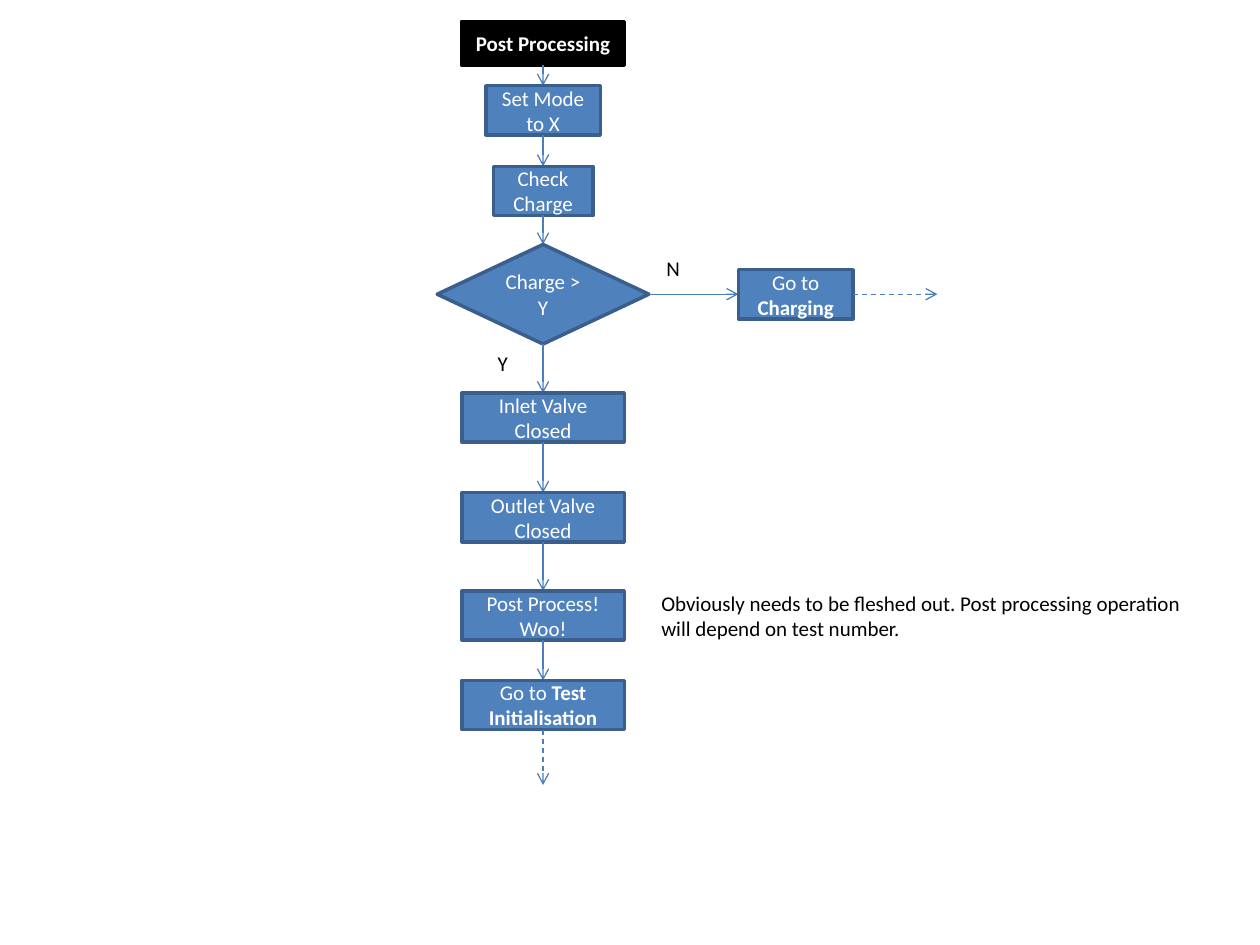
from pptx import Presentation
from pptx.dml.color import RGBColor
from pptx.enum.dml import MSO_LINE
from pptx.enum.shapes import MSO_CONNECTOR, MSO_SHAPE
from pptx.enum.text import MSO_ANCHOR, MSO_AUTO_SIZE, PP_ALIGN
from pptx.oxml.ns import qn
from pptx.util import Inches, Pt
from lxml.etree import SubElement

BLACK = RGBColor(0x00, 0x00, 0x00)
WHITE = RGBColor(0xFF, 0xFF, 0xFF)
BLUE = RGBColor(0x4F, 0x81, 0xBD)
BORDER = RGBColor(0x3A, 0x5F, 0x8C)
ARROW = RGBColor(0x4B, 0x7E, 0xBC)

BOX_H = 0.39
STEPS = [
    ("Post Processing", 0.17, 1.29, 0.35),
    ("Set Mode to X", 0.68, 0.91, BOX_H),
    ("Check Charge", 1.32, 0.79, BOX_H),
    ("Charge > Y", 1.94, 1.68, 0.79),
    ("Inlet Valve Closed", 3.12, 1.29, BOX_H),
    ("Outlet Valve Closed", 3.91, 1.29, BOX_H),
    ("Post Process! Woo!", 4.69, 1.29, BOX_H),
    ("Go to |Test Initialisation", 5.4, 1.29, BOX_H),
]


def add_runs(p, text, color, bold=False):
    """Write text into a paragraph; the part after a bar is bold."""
    for i, part in enumerate(text.split("|")):
        r = p.add_run()
        r.text = part
        fmt = {"name": "Calibri", "size": Pt(12), "bold": bold or i > 0}
        for key, value in fmt.items():
            setattr(r.font, key, value)
        r.font.color.rgb = color


def add_box(s, text, box, kind=MSO_SHAPE.RECTANGLE, fill=BLUE, line=BORDER, bold=False):
    """Add a filled flowchart shape with centred white text."""
    sp = s.shapes.add_shape(kind, *map(Inches, box))
    sp.shadow.inherit = False
    sp.fill.solid()
    sp.fill.fore_color.rgb = fill
    sp.line.color.rgb = line
    sp.line.width = Pt(2)
    tf = sp.text_frame
    for key, value in {"word_wrap": True, "vertical_anchor": MSO_ANCHOR.MIDDLE}.items():
        setattr(tf, key, value)
    p = tf.paragraphs[0]
    p.alignment = PP_ALIGN.CENTER
    add_runs(p, text, WHITE, bold)


def add_arrow(s, start, end, dashed=False):
    """Add a thin arrow between two points."""
    cn = s.shapes.add_connector(MSO_CONNECTOR.STRAIGHT, *map(Inches, start + end))
    cn.line.color.rgb = ARROW
    cn.line.width = Pt(0.75)
    if dashed:
        cn.line.dash_style = MSO_LINE.DASH
    SubElement(cn.line._get_or_add_ln(), qn("a:tailEnd"), type="arrow")
    SubElement(cn._element.spPr, qn("a:effectLst"))


def add_label(s, lines, box):
    """Add unwrapped black text, one paragraph for each line."""
    tf = s.shapes.add_textbox(*map(Inches, box)).text_frame
    fmt = {"word_wrap": False, "auto_size": MSO_AUTO_SIZE.SHAPE_TO_FIT_TEXT}
    for key, value in fmt.items():
        setattr(tf, key, value)
    for i, line in enumerate(lines):
        p = tf.add_paragraph() if i else tf.paragraphs[0]
        add_runs(p, line, BLACK)


def add_main_flow(s, box):
    """Stack the steps about the centre of the box, joined by arrows."""
    left, top, width, height = box
    center = left + width / 2
    styles = {
        "Post Processing": {"fill": BLACK, "line": BLACK, "bold": True},
        "Charge > Y": {"kind": MSO_SHAPE.FLOWCHART_DECISION},
    }
    ends = [step[1] for step in STEPS[1:]] + [top + height]
    for (text, y, w, h), end in zip(STEPS, ends):
        add_box(s, text, (center - w / 2, y, w, h), **styles.get(text, {}))
        add_arrow(s, (center, y + h), (center, end), dashed=end == ends[-1])
    add_label(s, ["Y"], (3.85, 2.73, 0.28, 0.3))


def add_charging_branch(s, box):
    """Lead from the decision to the charging step and onwards."""
    left, top, width, height = box
    step_left, step_w = left + 0.71, 0.91
    middle = top + height / 2
    add_label(s, ["N"], (left + 0.04, top - 0.16, 0.31, 0.3))
    add_arrow(s, (left, middle), (step_left, middle))
    add_box(s, "Go to |Charging", (step_left, top, step_w, height))
    add_arrow(s, (step_left + step_w, middle), (left + width, middle), dashed=True)


def add_note(s, box):
    """Place the remark beside the post process step."""
    add_label(s, ["Obviously needs to be fleshed out. Post processing operation",
                  "will depend on test number."], box)


def main():
    """Build and save the flowchart slide."""
    prs = Presentation()
    prs.slide_width, prs.slide_height = Inches(10), Inches(7.5)
    s = prs.slides.add_slide(prs.slide_layouts[6])
    add_main_flow(s, (3.47, 0.17, 1.68, 6.06))
    add_charging_branch(s, (5.15, 2.14, 2.29, BOX_H))
    add_note(s, (5.15, 4.64, 4.37, 0.5))
    prs.save("out.pptx")


if __name__ == "__main__":
    main()
